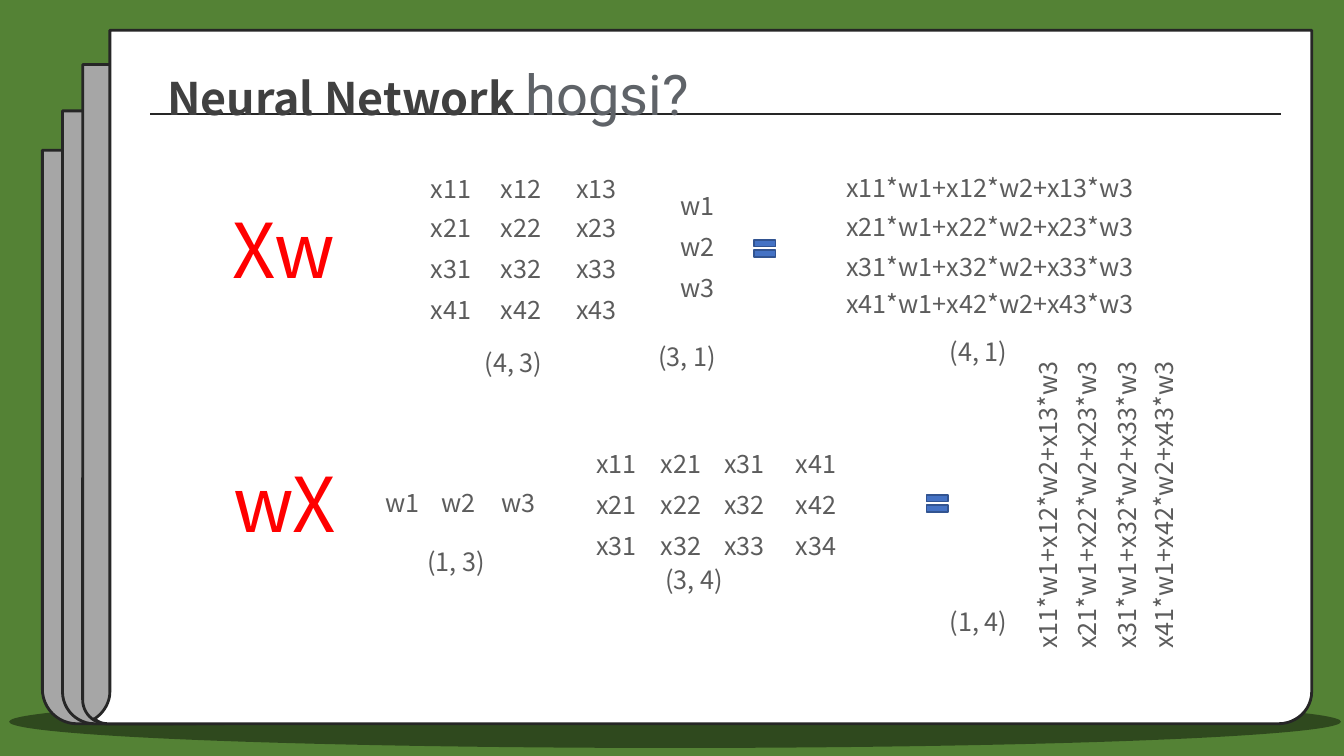
"""Build the slide comparing the matrix products Xw and wX."""
from dataclasses import dataclass
from typing import Any, Optional

import lxml.etree
import pptx
import pptx.dml.color
import pptx.enum.shapes
import pptx.enum.text
import pptx.oxml.ns
import pptx.util

Inches = pptx.util.Inches
Pt = pptx.util.Pt
RGBColor = pptx.dml.color.RGBColor
Preset = pptx.enum.shapes.MSO_SHAPE
Align = pptx.enum.text.PP_ALIGN
qn = pptx.oxml.ns.qn

GREEN = RGBColor(0x54, 0x82, 0x35)
BLACK = RGBColor(0x00, 0x00, 0x00)
WHITE = RGBColor(0xFF, 0xFF, 0xFF)
SHEET_GRAY = RGBColor(0xA6, 0xA6, 0xA6)
OUTLINE = RGBColor(0x26, 0x26, 0x26)
TITLE_DARK = RGBColor(0x40, 0x40, 0x40)
TITLE_GRAY = RGBColor(0x5F, 0x63, 0x68)
TEXT_GRAY = RGBColor(0x5C, 0x5C, 0x5C)
RED = RGBColor(0xFF, 0x00, 0x00)
BLUE = RGBColor(0x44, 0x72, 0xC4)
BLUE_EDGE = RGBColor(0x32, 0x54, 0x91)

SANS = "Noto Sans CJK KR"
CELL_WIDTH = 0.69
LABEL_HEIGHT = 0.4


@dataclass(frozen=True)
class Label:
    text: str
    left: float
    top: float
    width: float = CELL_WIDTH
    height: float = LABEL_HEIGHT
    size: int = 18
    color: RGBColor = TEXT_GRAY
    align: Align = Align.CENTER
    rotation: int = 0


@dataclass(frozen=True)
class Matrix:
    rows: tuple[str, ...]
    lefts: tuple[float, ...]
    tops: tuple[float, ...]


@dataclass(frozen=True)
class Solid:
    preset: Preset
    left: float
    top: float
    width: float
    height: float
    fill: RGBColor
    line: Optional[RGBColor] = None
    line_width: float = 2
    adjustments: tuple[float, ...] = ()


SHEETS = [
    Solid(Preset.ROUND_2_SAME_RECTANGLE, left, top, 1.62, 7.18 - top,
          SHEET_GRAY, OUTLINE, adjustments=(0, bend))
    for left, top, bend in ((0.42, 1.49, 0.213), (0.62, 1.1, 0.196), (0.82, 0.64, 0.147))
]
EQUALS = [
    Solid(Preset.MATH_EQUAL, left, top, 0.29, 0.29, BLUE, BLUE_EDGE, 1)
    for left, top in ((7.44, 2.32), (9.15, 4.85))
]
MATRICES = [
    Matrix(("x11 x12 x13", "x21 x22 x23", "x31 x32 x33", "x41 x42 x43"),
           (4.13, 4.82, 5.57), (1.67, 2.06, 2.46, 2.87)),
    Matrix(("w1", "w2", "w3"), (6.57,), (1.84, 2.25, 2.65)),
    Matrix(("w1 w2 w3",), (3.65, 4.2, 4.8), (4.79,)),
    Matrix(("x11 x21 x31 x41", "x21 x22 x32 x42", "x31 x32 x33 x34"),
           (5.77, 6.41, 7.04, 7.75), (4.4, 4.81, 5.21)),
]
SIZES = [
    Label(text, left, top, 0.91, align=Align.LEFT)
    for text, left, top in (
        ("(4, 3)", 4.71, 3.4), ("(3, 1)", 6.43, 3.34), ("(4, 1)", 9.32, 3.29),
        ("(1, 3)", 4.14, 5.37), ("(3, 4)", 6.5, 5.55), ("(1, 4)", 9.32, 5.97))
]
PRODUCTS = [
    Label("Xw", 1.8, 1.96, 2.03, 1.01, 54, RED),
    Label("wX", 1.81, 4.48, 2.03, 1.01, 54, RED),
]
RESULT_TOPS = (1.66, 2.05, 2.44, 2.81)
RESULT_LEFTS = (8.63, 9.02, 9.41, 9.78)


def format_all(target: Any, values: dict[str, Any]) -> None:
    for name, value in values.items():
        setattr(target, name, value)


def add_span(para: Any, text: str, size: int, color: RGBColor,
             name: str = SANS, bold: bool = False) -> None:
    span = para.add_run()
    span.text = text
    format_all(span.font, {"size": Pt(size), "name": name, "bold": bold})
    span.font.color.rgb = color


def add_label(page: Any, label: Label) -> None:
    box = page.shapes.add_textbox(Inches(label.left), Inches(label.top),
                                  Inches(label.width), Inches(label.height))
    box.rotation = label.rotation
    box.text_frame.word_wrap = True
    para = box.text_frame.paragraphs[0]
    para.alignment = label.align
    add_span(para, label.text, label.size, label.color)


def add_matrix(page: Any, matrix: Matrix) -> None:
    for row, top in zip(matrix.rows, matrix.tops):
        for text, left in zip(row.split(), matrix.lefts):
            add_label(page, Label(text, left, top))


def paint(shape: Any, fill: RGBColor, line: Optional[RGBColor], width: float) -> None:
    shape.shadow.inherit = False
    shape.fill.solid()
    shape.fill.fore_color.rgb = fill
    if line is None:
        shape.line.fill.background()
    else:
        shape.line.color.rgb = line
        shape.line.width = Pt(width)


def add_solid(page: Any, solid: Solid) -> Any:
    shape = page.shapes.add_shape(solid.preset, Inches(solid.left), Inches(solid.top),
                                  Inches(solid.width), Inches(solid.height))
    for index, value in enumerate(solid.adjustments):
        shape.adjustments[index] = value
    paint(shape, solid.fill, solid.line, solid.line_width)
    return shape


def curve(*points: tuple[float, float], steps: int = 12) -> list[tuple[float, float]]:
    def blend(axis: int, t: float) -> float:
        a, b, c, d = (point[axis] for point in points)
        return a * (1 - t) ** 3 + 3 * b * t * (1 - t) ** 2 + 3 * c * t * t * (1 - t) + d * t ** 3

    return [(blend(0, step / steps), blend(1, step / steps)) for step in range(1, steps + 1)]


def add_front_sheet(page: Any) -> None:
    corners = [
        (13.01, 0.3), (13.01, 6.86),
        *curve((13.01, 6.86), (13.01, 7.04), (12.86, 7.18), (12.68, 7.18)),
        (1.1, 7.18),
        *curve((1.1, 7.18), (1.06, 7.18), (1.02, 7.18), (0.98, 7.16)),
        (0.93, 7.13), (0.94, 7.13),
        *curve((0.94, 7.13), (1.03, 7.07), (1.09, 6.97), (1.09, 6.86)),
    ]
    builder = page.shapes.build_freeform(Inches(1.09), Inches(0.3))
    builder.add_line_segments([(Inches(x), Inches(y)) for x, y in corners], close=True)
    paint(builder.convert_to_shape(), WHITE, OUTLINE, 2)


def add_notebook(page: Any) -> None:
    shadow = add_solid(page, Solid(Preset.OVAL, 0.09, 6.9, 13.21, 0.52, BLACK))
    tint = shadow.element.spPr.find(".//" + qn("a:srgbClr"))
    lxml.etree.SubElement(tint, qn("a:alpha"), val="43000")
    for sheet in SHEETS:
        add_solid(page, sheet)
    add_front_sheet(page)
    rule = page.shapes.add_connector(pptx.enum.shapes.MSO_CONNECTOR.STRAIGHT,
                                     Inches(1.49), Inches(1.13), Inches(12.71), Inches(1.13))
    rule.line.color.rgb = OUTLINE
    rule.line.width = Pt(1.5)
    lxml.etree.SubElement(rule.element.spPr, qn("a:effectLst"))


def add_title(page: Any) -> None:
    title = page.shapes.title
    format_all(title, {"left": Inches(0.48), "top": Inches(0.21),
                       "width": Inches(7.53), "height": Inches(0.99)})
    format_all(title.text_frame, {
        "word_wrap": True,
        "auto_size": pptx.enum.text.MSO_AUTO_SIZE.NONE,
        "vertical_anchor": pptx.enum.text.MSO_ANCHOR.TOP,
    })
    para = title.text_frame.paragraphs[0]
    format_all(para, {"alignment": Align.CENTER, "line_spacing": 1.5})
    add_span(para, "Neural Network ", 32, TITLE_DARK, bold=True)
    add_span(para, "hogsi?", 40, TITLE_GRAY, "Roboto")
    title.element.getparent().append(title.element)


def main() -> None:
    deck = pptx.Presentation()
    format_all(deck, {"slide_width": Inches(13.33), "slide_height": Inches(7.5)})
    page = deck.slides.add_slide(deck.slide_layouts[5])
    page.background.fill.solid()
    page.background.fill.fore_color.rgb = GREEN
    add_notebook(page)
    add_title(page)
    for matrix in MATRICES:
        add_matrix(page, matrix)
    for row, (top, left) in enumerate(zip(RESULT_TOPS, RESULT_LEFTS), start=1):
        total = "+".join(f"x{row}{column}*w{column}" for column in (1, 2, 3))
        add_label(page, Label(total, 7.82, top, 4))
        add_label(page, Label(total, left, 4.81, 3.52, rotation=270))
    for label in SIZES + PRODUCTS:
        add_label(page, label)
    for sign in EQUALS:
        add_solid(page, sign)
    deck.save("out.pptx")


if __name__ == "__main__":
    main()
